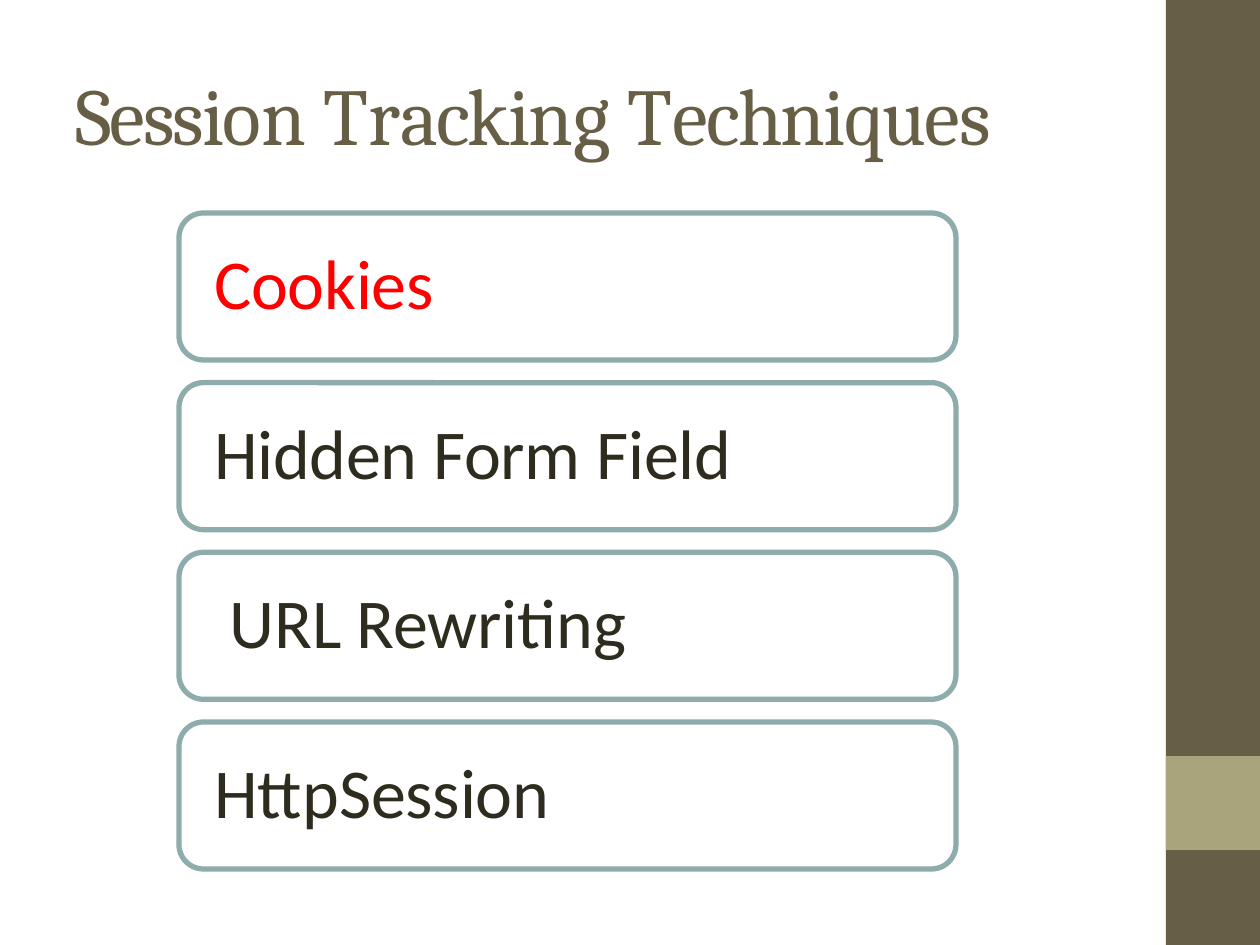
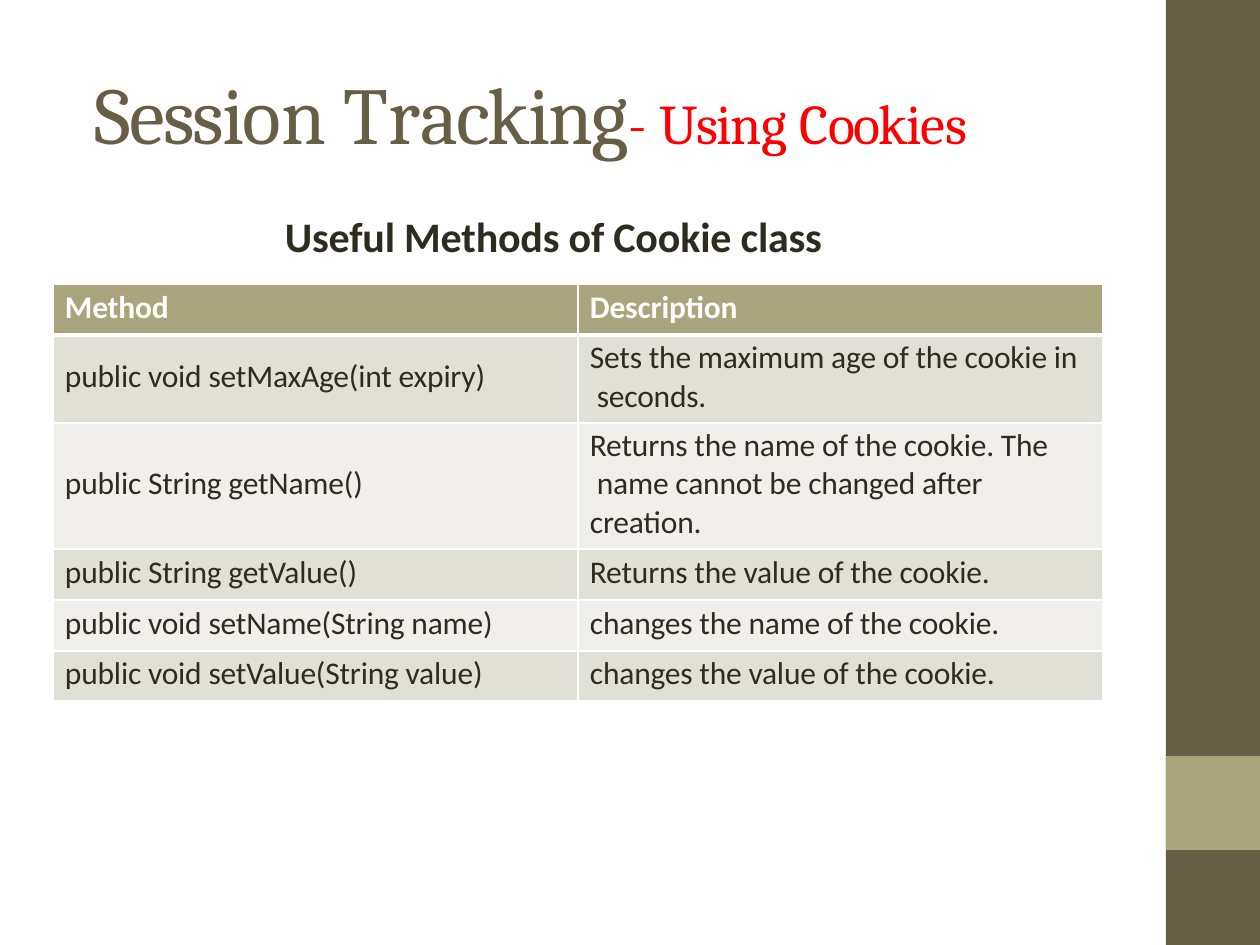
from pptx import Presentation
from pptx.dml.color import RGBColor
from pptx.enum.shapes import MSO_SHAPE
from pptx.enum.text import MSO_ANCHOR, MSO_AUTO_SIZE, PP_ALIGN
from pptx.oxml.ns import qn
from pptx.util import Pt
from lxml import etree

RECT, ROUND = MSO_SHAPE.RECTANGLE, MSO_SHAPE.ROUNDED_RECTANGLE
TOP, MID = MSO_ANCHOR.TOP, MSO_ANCHOR.MIDDLE
LEFT, FIXED = PP_ALIGN.LEFT, MSO_AUTO_SIZE.NONE

SCALE = 914400 / 126
WIDE, HIGH = 1260, 945
OLIVE, SAGE, TEAL = "675E46", "A9A47B", "8DACAB"
INK, RED, WHITE = "2E2B1F", "FF0000", "FFFFFF"
ROWS = ["E1E0D6", "F0EFEB"]

# Text styles
HEAD = dict(name="Cambria", size=Pt(46), bold=False)
NOTE = dict(HEAD, size=Pt(32))
CARD = dict(name="Calibri", size=Pt(40), bold=False)
SUB = dict(CARD, size=Pt(24), bold=True)
CELL = dict(CARD, size=Pt(18))
LABEL = dict(CELL, bold=True)

# Title parts with their letter spacing in points
STEM = [("Sessio", -1.1), ("n ", -0.1), ("T", -2.6), ("r", -1.9), ("ackin", -1.1)]
TAIL = [("g ", -0.1), ("T", -4.8), ("echnique", -1.1), ("s", -0.1)]
USE = [("- ", 0), ("Usin", -1), ("g ", 0), ("C", -1.1), ("ookie", -1), ("s", 0)]

CARDS = ["Cookies", "Hidden Form Field", " URL Rewriting", "HttpSession"]
METHODS = [
    ("Method", "Description"),
    ("public void setMaxAge(int expiry)",
     "Sets the maximum age of the cookie in\n seconds."),
    ("public String getName()",
     "Returns the name of the cookie. The\n name cannot be changed after\ncreation."),
    ("public String getValue()", "Returns the value of the cookie."),
    ("public void setName(String name)", "changes the name of the cookie."),
    ("public void setValue(String value)", "changes the value of the cookie."),
]
TALL = [51, 88, 126, 51, 51, 50]


def px(n):
    return round(n * SCALE)


def place(box):
    return [px(n) for n in box]


def rgb(tone):
    return RGBColor.from_string(tone)


def write(para, text, style, tone, space=-0.1):
    """Add text to a paragraph, with a line break at each newline."""
    for i, line in enumerate(text.split("\n")):
        if i:
            para.add_line_break()
        run = para.add_run()
        run.text = line
        for key, value in style.items():
            setattr(run.font, key, value)
        run.font.color.rgb = rgb(tone)
        run._r.get_or_add_rPr().set("spc", str(round(space * 100)))


def frame(item, pads, anchor):
    """Set up a text frame and return its first paragraph."""
    text = item.text_frame
    look = dict(zip(("margin_left", "margin_top", "margin_right", "margin_bottom"),
                    place(pads)))
    look.update(word_wrap=True, auto_size=FIXED, vertical_anchor=anchor)
    for key, value in look.items():
        setattr(text, key, value)
    para = text.paragraphs[0]
    para.alignment = LEFT
    return para


def block(slide, kind, box, fill, line=None):
    shape = slide.shapes.add_shape(kind, *place(box))
    shape.shadow.inherit = False
    shape.fill.solid()
    shape.fill.fore_color.rgb = rgb(fill)
    if line:
        shape.line.color.rgb = rgb(line)
        shape.line.width = Pt(3)
    else:
        shape.line.fill.background()
    return shape


def band(slide, box):
    x, y, w, h = box
    block(slide, RECT, box, OLIVE)
    block(slide, RECT, (x, y + h * 4 // 5, w, w), SAGE)


def title(slide, box, parts):
    """Fill the title from (pieces, style, colour) parts."""
    shape = slide.shapes.title
    for key, value in zip(("left", "top", "width", "height"), place(box)):
        setattr(shape, key, value)
    para = frame(shape, (1, 1, 0, 0), TOP)
    para.space_before = Pt(0.9)
    for pieces, style, tone in parts:
        for text, space in pieces:
            write(para, text, style, tone, space)


def cards(slide, box, names, tall=147):
    x, y, w, h = box
    step = (h - tall) / (len(names) - 1)
    for i, name in enumerate(names):
        card = block(slide, ROUND, (x, y + i * step, w, tall), WHITE, TEAL)
        para = frame(card, (28, 0, 0, 10), MID)
        write(para, name, CARD, INK if i else RED)


def caption(slide, box, text):
    para = frame(slide.shapes.add_textbox(*place(box)), (1, 1, 0, 0), TOP)
    para.space_before = Pt(1)
    write(para, text, SUB, INK)


def edge(cell, side, width):
    line = etree.SubElement(cell._tc.get_or_add_tcPr(), qn("a:ln" + side),
                            w=str(Pt(width)))
    fill = etree.SubElement(line, qn("a:solidFill"))
    etree.SubElement(fill, qn("a:srgbClr"), val=WHITE)


def grid(slide, box, rows, tall):
    table = slide.shapes.add_table(len(rows), len(rows[0]), *place(box)).table
    table.first_row = table.horz_banding = False
    for col in table.columns:
        col.width = px(box[2] / len(rows[0]))
    for r, row in enumerate(rows):
        table.rows[r].height = px(tall[r])
        for c, text in enumerate(row):
            cell = table.cell(r, c)
            # Borders, with a thick rule under the header
            for side, width in zip("LRTB", (1, 1, 3 if r == 1 else 1, 1 if r else 3)):
                edge(cell, side, width)
            cell.fill.solid()
            cell.fill.fore_color.rgb = rgb(ROWS[(r - 1) % 2] if r else SAGE)
            cell.vertical_anchor = MID
            cell.margin_left, cell.margin_right = px(12), 0
            cell.margin_top, cell.margin_bottom = px(2), px(6)
            write(cell.text_frame.paragraphs[0], text,
                  CELL if r else LABEL, INK if r else WHITE)


def page(deck):
    slide = deck.slides.add_slide(deck.slide_layouts[5])
    band(slide, (1166, 0, 94, HIGH))
    return slide


def main():
    deck = Presentation()
    deck.slide_width, deck.slide_height = px(WIDE), px(HIGH)

    # Techniques
    slide = page(deck)
    title(slide, (74, 64, 960, 100), [(STEM + TAIL, HEAD, OLIVE)])
    cards(slide, (179, 213, 777, 656), CARDS)

    # Cookie methods
    slide = page(deck)
    title(slide, (94, 63, 910, 100),
          [(STEM + [("g", -1.1)], HEAD, OLIVE), (USE, NOTE, RED)])
    grid(slide, (53, 284, 1050, sum(TALL)), METHODS, TALL)
    caption(slide, (284, 210, 560, 54), "Useful Methods of Cookie class")

    deck.save("out.pptx")


if __name__ == "__main__":
    main()
